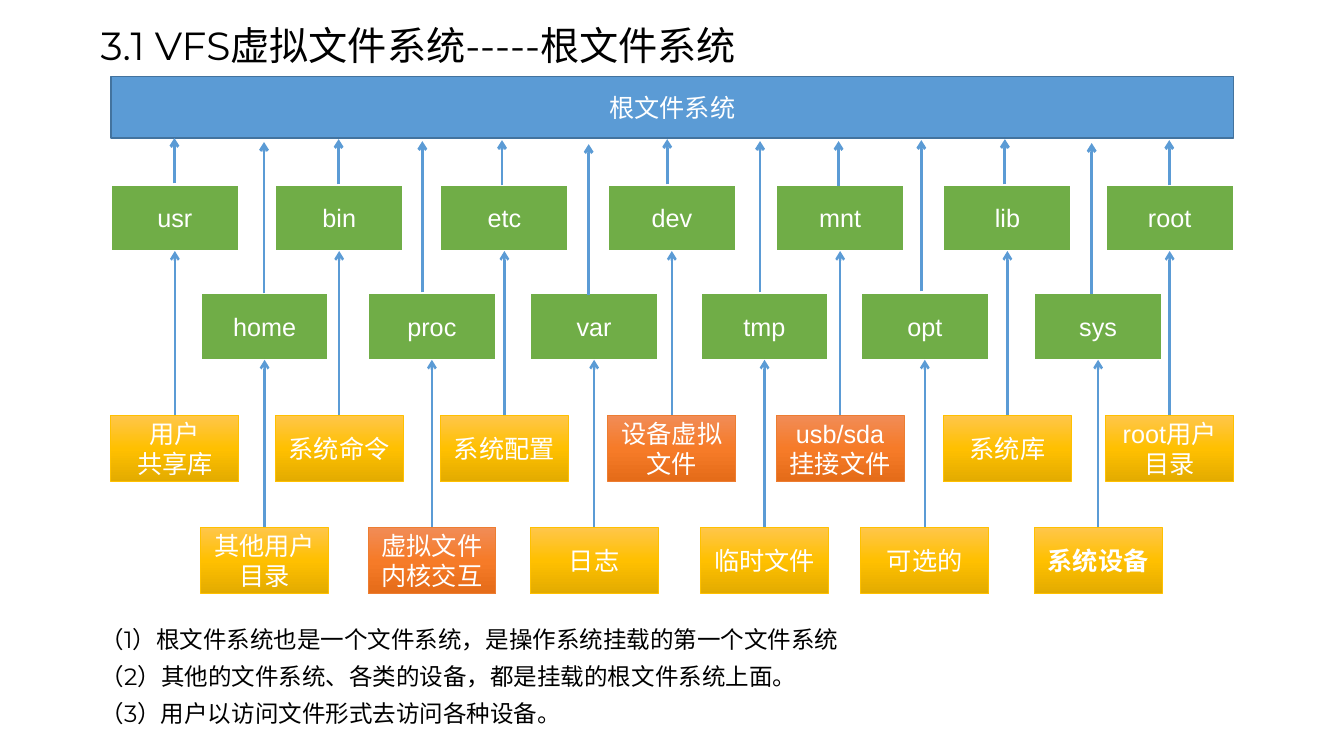
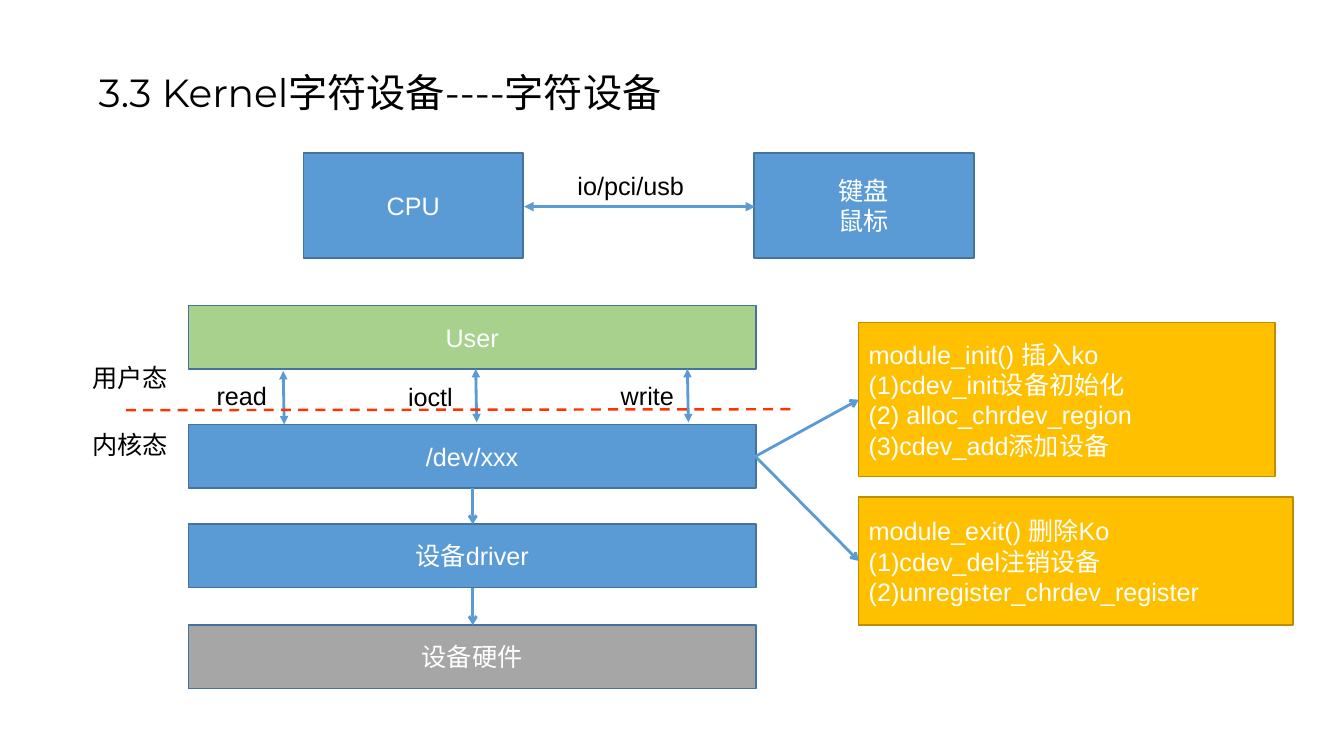
from copy import deepcopy

from pptx import Presentation
from pptx import util as u
from pptx.dml.color import RGBColor
from pptx.enum import dml, shapes, text
from pptx.oxml.ns import qn
from pptx.oxml.xmlchemy import OxmlElement

BLUE, NAVY, GREEN, MINT = "5B9BD5", "43739E", "70AD47", "A9D18E"
GOLD, BRONZE, GRAY, RED = "FFC000", "BD8E00", "A6A6A6", "FF3300"
WHITE, BLACK = "FFFFFF", "000000"
GOLD_SHADES = ("FFC64B", GOLD, "E3AB00")
ORANGE, ORANGE_SHADES = "ED7D31", ("F18C57", "F67B28", "E56C19")
CENTER, LEFT = text.PP_ALIGN.CENTER, text.PP_ALIGN.LEFT
TOP, MIDDLE, BOTTOM = (text.MSO_ANCHOR.TOP, text.MSO_ANCHOR.MIDDLE,
                       text.MSO_ANCHOR.BOTTOM)


def color(code):
    return RGBColor.from_string(code)


def assign(target, formats):
    for key, value in formats.items():
        setattr(target, key, value)


class Deck:
    body = {"name": "Arial", "size": u.Pt(18)}
    heading = {"name": "Montserrat", "size": u.Pt(28)}
    remark = {"name": "Montserrat", "size": u.Pt(16.8)}

    def __init__(self):
        self.show = Presentation()
        assign(self.show, {"slide_width": u.Pt(960), "slide_height": u.Pt(540)})
        self.slide = None

    def new_slide(self, heading, left, top, height):
        self.slide = self.show.slides.add_slide(self.show.slide_layouts[6])
        self.label(heading, left, top, 719.3, height, self.heading, BOTTOM, 1.3)

    def fill_text(self, frame, words, ink, font, paragraph, anchor):
        frame.text = words
        assign(frame, {"word_wrap": True, "vertical_anchor": anchor})
        for line in frame.paragraphs:
            assign(line, paragraph)
            for run in line.runs:
                assign(run.font, font)
                run.font.color.rgb = color(ink)

    def label(self, words, left, top, width, height=28.8, font=body,
              anchor=TOP, spacing=1.0):
        area = self.slide.shapes.add_textbox(*map(u.Pt, (left, top, width, height)))
        self.fill_text(area.text_frame, words, BLACK, font,
                       {"line_spacing": spacing}, anchor)

    def box(self, words, left, top, width, height, fill, edge=NAVY, weight=1,
            align=CENTER, bold=False):
        area = self.slide.shapes.add_shape(
            shapes.MSO_SHAPE.RECTANGLE, *map(u.Pt, (left, top, width, height)))
        area.shadow.inherit = False
        if isinstance(fill, str):
            area.fill.solid()
            area.fill.fore_color.rgb = color(fill)
        else:
            self.shade(area, fill)
        area.line.color.rgb = color(edge)
        area.line.width = u.Pt(weight)
        self.fill_text(area.text_frame, words, WHITE, {**self.body, "bold": bold},
                       {"alignment": align}, MIDDLE)

    def shade(self, area, shades):
        area.fill.gradient()
        area.fill.gradient_angle = 270
        stops = area._element.spPr.find(".//" + qn("a:gsLst"))
        stops.append(deepcopy(stops[0]))
        for stop, shade, position in zip(area.fill.gradient_stops, shades, (0, 0.5, 1)):
            stop.color.rgb = color(shade)
            stop.position = position

    def line(self, x1, y1, x2, y2, weight=2.0, ink=BLUE, head=None,
             tail="arrow", dash=None):
        link = self.slide.shapes.add_connector(
            shapes.MSO_CONNECTOR.STRAIGHT, *map(u.Pt, (x1, y1, x2, y2)))
        link.line.color.rgb = color(ink)
        assign(link.line, {"width": u.Pt(weight), "dash_style": dash})
        stroke = link._element.spPr.find(qn("a:ln"))
        for tag, kind in (("a:headEnd", head), ("a:tailEnd", tail)):
            if kind:
                tip = OxmlElement(tag)
                tip.set("type", kind)
                stroke.append(tip)
        link._element.spPr.append(OxmlElement("a:effectLst"))


deck = Deck()

deck.new_slide("3.1 VFS虚拟文件系统-----根文件系统", 64.8, 0, 52.6)
deck.box("根文件系统", 79.2, 54.7, 802.1, 43.9, BLUE)

UPPER = [
    ("usr", "用户\n共享库", 79.2, 124.6, 98.6),
    ("bin", "系统命令", 196.6, 241.9, 99.4),
    ("etc", "系统配置", 314.6, 358.6, 100.1),
    ("dev", "设备虚拟文件", 434.2, 476.6, 99.4),
    ("mnt", "usb/sda挂接文件", 554.4, 599, 100.8),
    ("lib", "系统库", 673.9, 717.8, 99.4),
    ("root", "root用户目录", 789.8, 835.2, 100.1),
]
LOWER = [
    ("home", "其他用户目录", 143.3, 188.6, 101.5),
    ("proc", "虚拟文件内核交互", 262.8, 301.7, 100.8),
    ("var", "日志", 378.7, 420.5, 103),
    ("tmp", "临时文件", 500.4, 542.9, 100.8),
    ("opt", "可选的", 614.9, 658.1, 100.1),
    ("sys", "系统设备", 738.7, 779.8, 102.2),
]
VIRTUAL = {"dev", "mnt", "proc"}
WIDE, HIGH = 91.4, 47.5

for folders, folder_top, purpose_top, rise in ((UPPER, 131.8, 296.6, 32.4),
                                               (LOWER, 209.5, 376.6, 108)):
    for folder, purpose, left, root_x, root_y in folders:
        edge, shades = (ORANGE, ORANGE_SHADES) if folder in VIRTUAL else (GOLD, GOLD_SHADES)
        middle = left + WIDE / 2
        deck.box(folder, left, folder_top, WIDE, HIGH, GREEN, WHITE, 1.5)
        deck.box(purpose, left, purpose_top, WIDE, HIGH, shades, edge, 0.5,
                 bold=folder == "sys")
        deck.line(root_x, root_y + rise, root_x, root_y)
        deck.line(middle, purpose_top, middle, folder_top + HIGH, 1.75)

deck.label("（1）根文件系统也是一个文件系统，是操作系统挂载的第一个文件系统\n"
           "（2）其他的文件系统、各类的设备，都是挂载的根文件系统上面。\n"
           "（3）用户以访问文件形式去访问各种设备。",
           64.8, 424.1, 815.8, 98.6, deck.remark, BOTTOM, 1.3)

deck.new_slide("3.3 Kernel字符设备----字符设备", 63.4, 20.2, 65.5)
for hardware, left in (("CPU", 216.7), ("键盘\n鼠标", 538.6)):
    deck.box(hardware, left, 109.4, 157, 74.9, BLUE)
deck.line(374.4, 147.6, 539.3, 147.6, 2.25, head="triangle", tail="triangle")
deck.label("io/pci/usb", 405.4, 118.1, 114.5)

for layer, top, fill in (("User", 218.2, MINT), ("/dev/xxx", 303.1, BLUE),
                         ("设备driver", 374.4, BLUE), ("设备硬件", 446.4, GRAY)):
    deck.box(layer, 134.6, top, 405.4, 45.4, fill)

for call, left, top, x, y in (("read", 147.6, 267.8, 202.3, 265),
                              ("ioctl", 284.4, 268.6, 339.8, 263.5),
                              ("write", 436.3, 267.8, 491, 263.5)):
    deck.line(x, y, x + 0.7, y + 38.2, head="triangle", tail="triangle")
    deck.label(call, left, top, 61.9)

for start, end in ((348.5, 374.4), (419.8, 446.4)):
    deck.line(337.7, start, 337.7, end)
deck.line(90, 293, 568.8, 292.3, 1.75, RED, tail=None, dash=dml.MSO_LINE.DASH)
for mode, top in (("用户态", 255.6), ("内核态", 303.1)):
    deck.label(mode, 59, top, 73.4)

INIT = ("module_init() 插入ko\n(1)cdev_init设备初始化\n"
        "(2) alloc_chrdev_region\n(3)cdev_add添加设备")
EXIT = "module_exit() 删除Ko\n(1)cdev_del注销设备\n(2)unregister_chrdev_register"
for steps, top, width, height in ((INIT, 230.4, 297.4, 110.2),
                                  (EXIT, 355, 310.3, 91.4)):
    deck.box(steps, 613.4, top, width, height, GOLD, BRONZE, align=LEFT)
    deck.line(539.6, 326, 613.4, top + height / 2)

deck.show.save("out.pptx")
